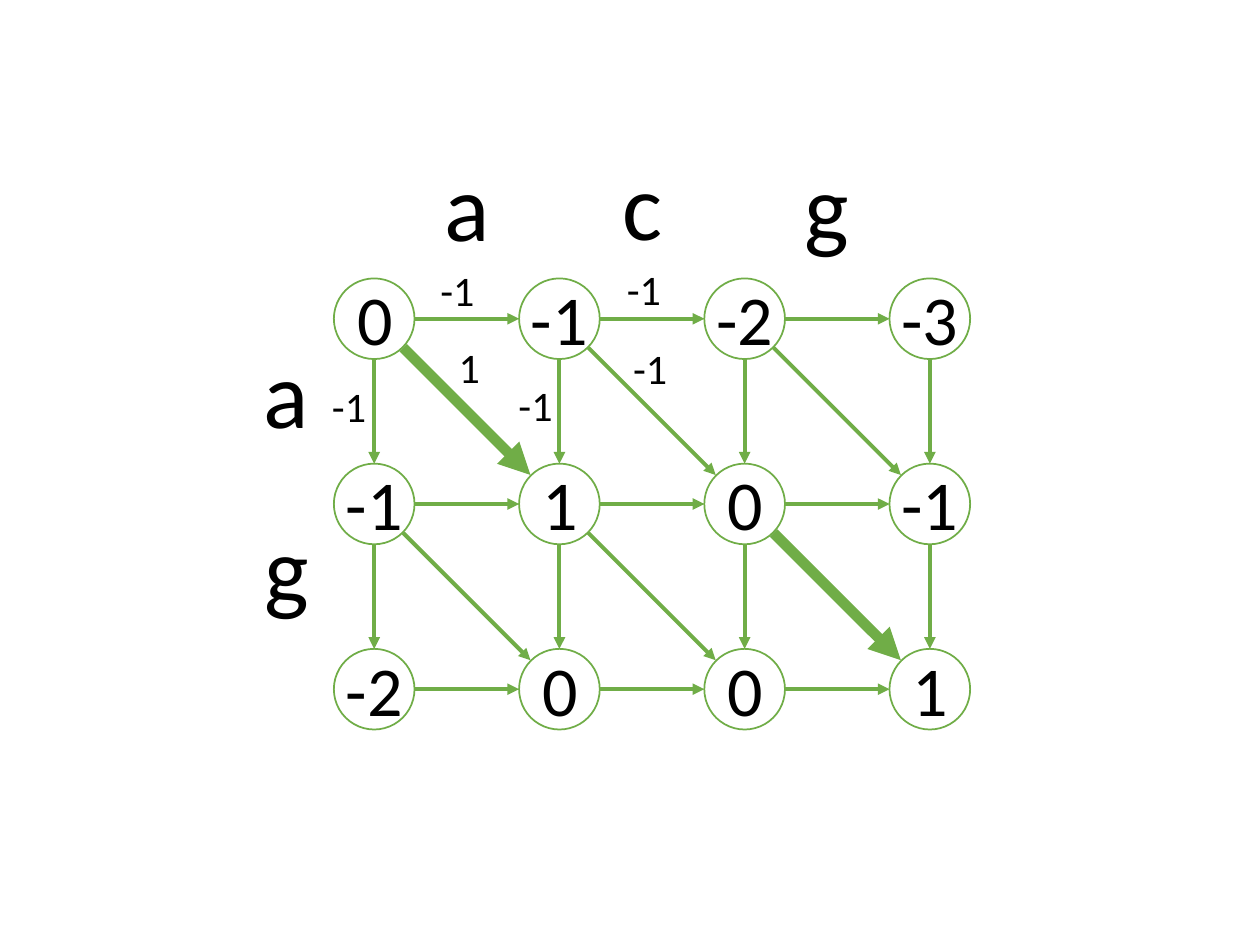
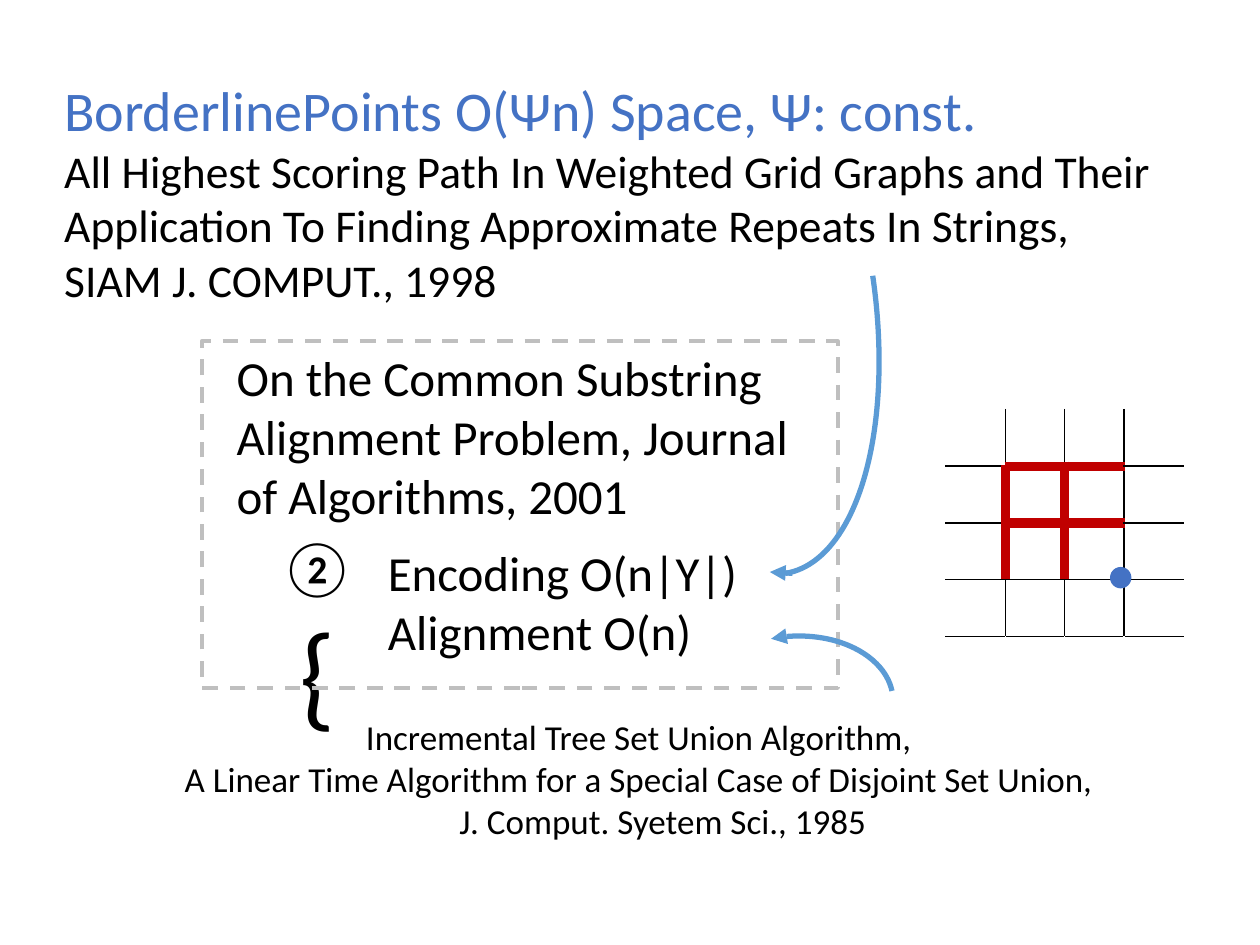
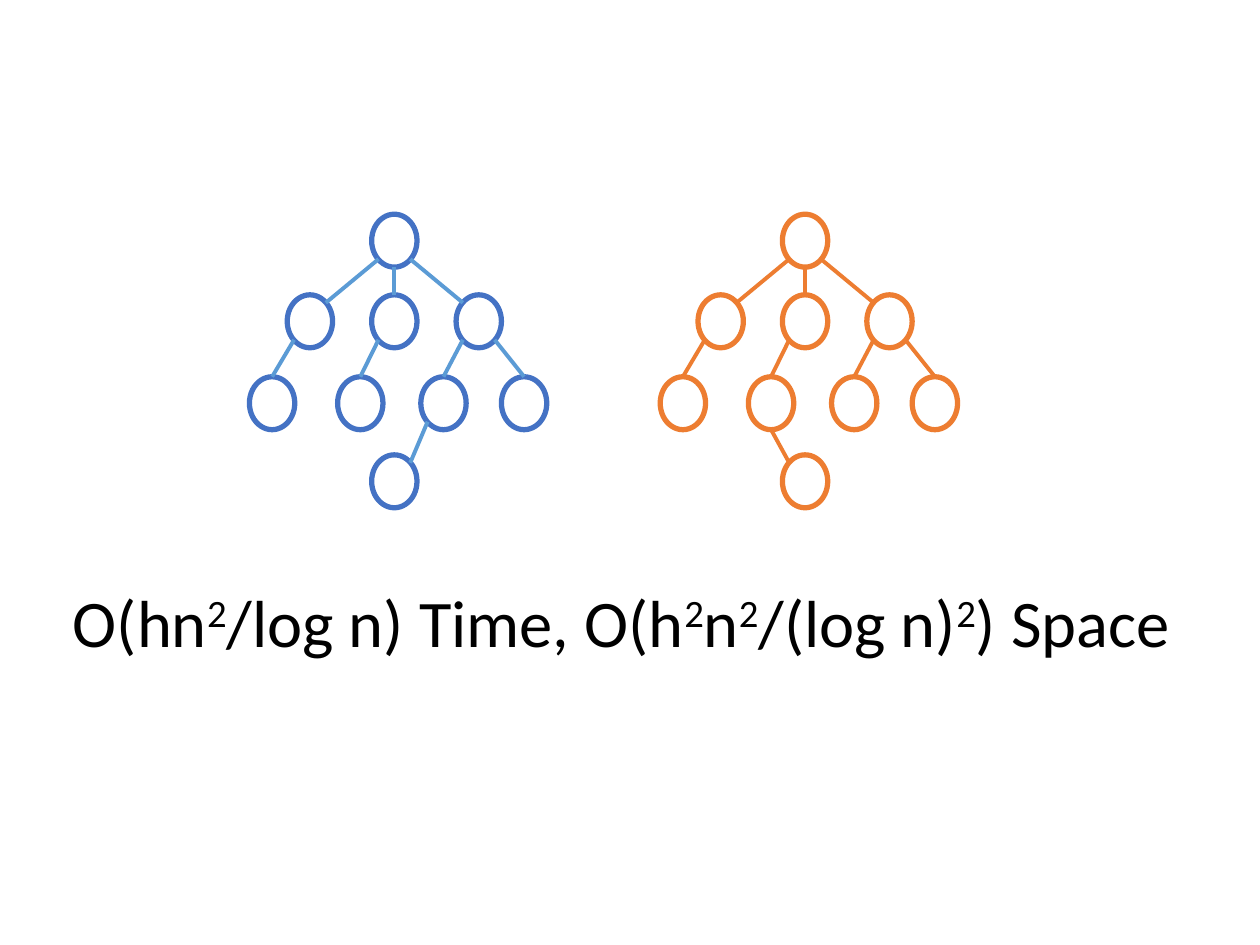
import pptx
import pptx.dml.color
import pptx.enum.dml
import pptx.enum.shapes
import pptx.enum.text
import pptx.oxml
import pptx.oxml.ns
import pptx.util

EMU_PER_PX = 9144  # 100 px to the inch
FONT = "Calibri"
BLACK, WHITE, GREY, RED = "000000", "FFFFFF", "BFBFBF", "C00000"
GREEN, BLUE, SKY, ORANGE = "70AD47", "4472C4", "5B9BD5", "ED7D31"
PLAIN_TABLE_STYLE = "{2D5ABB26-0587-4C30-8999-92F81FD0307C}"

SHAPE = pptx.enum.shapes.MSO_SHAPE
ALIGN = pptx.enum.text.PP_ALIGN
LEFT, CENTER = ALIGN.LEFT, ALIGN.CENTER


def px(*lengths):
    return [pptx.util.Emu(round(length * EMU_PER_PX)) for length in lengths]


def rgb(color):
    return pptx.dml.color.RGBColor.from_string(color)


def xml(tag, content=""):
    namespace = pptx.oxml.ns.nsdecls("a")
    return pptx.oxml.parse_xml(f"<a:{tag} {namespace}>{content}</a:{tag}>")


def write(frame, *lines, size, color=BLACK, align=LEFT, indents=None):
    """Fill a frame; a line is a string or a list of (text, format) spans."""
    frame.word_wrap = False
    frame.auto_size = pptx.enum.text.MSO_AUTO_SIZE.SHAPE_TO_FIT_TEXT
    frame.vertical_anchor = pptx.enum.text.MSO_ANCHOR.TOP
    for number, line in enumerate(lines):
        para = frame.paragraphs[0] if number == 0 else frame.add_paragraph()
        para.alignment = align
        if indents and number in indents:
            margin = px(indents[number])[0]
            para._p.get_or_add_pPr().set("marL", str(margin))
        for text, look in [(line, {})] if isinstance(line, str) else line:
            span = para.add_run()
            span.text = text
            span.font.name = FONT
            span.font.size = pptx.util.Pt(look.get("size", size))
            span.font.color.rgb = rgb(look.get("color", color))
            if look.get("superscript"):
                span._r.get_or_add_rPr().set("baseline", "30000")


class Pages:
    """Holds the deck and the slide being drawn."""

    def __init__(self):
        self.deck = pptx.Presentation()
        self.deck.slide_width, self.deck.slide_height = px(1000, 750)

    def new_page(self, titled=False):
        self.page = self.deck.slides.add_slide(self.deck.slide_layouts[5 if titled else 6])

    def title(self, left, top, width, height, *lines, **look):
        box = self.page.shapes.title
        box.left, box.top, box.width, box.height = px(left, top, width, height)
        write(box.text_frame, *lines, **look)

    def text(self, left, top, width, height, *lines, **look):
        box = self.page.shapes.add_textbox(*px(left, top, width, height))
        write(box.text_frame, *lines, **look)

    def shape(self, kind, left, top, width, height, fill=None, line=None, weight=1):
        shape = self.page.shapes.add_shape(kind, *px(left, top, width, height))
        shape.shadow.inherit = False
        if fill:
            shape.fill.solid()
            shape.fill.fore_color.rgb = rgb(fill)
        else:
            shape.fill.background()
        if line:
            shape.line.color.rgb = rgb(line)
            shape.line.width = pptx.util.Pt(weight)
        else:
            shape.line.fill.background()
        return shape

    def circle(self, left, top, width, height, **look):
        return self.shape(SHAPE.FLOWCHART_CONNECTOR, left, top, width, height, **look)

    def arc(self, left, top, width, height, rotation, flipped=False):
        arc = self.shape(SHAPE.ARC, left, top, width, height, line=SKY, weight=3)
        arc.adjustments[0], arc.adjustments[1] = 162, 213.86
        arc.rotation = rotation
        if flipped:
            arc.element.spPr.find(pptx.oxml.ns.qn("a:xfrm")).set("flipV", "1")

    def line(self, start, end, color, weight=2.25, arrow=False):
        straight = pptx.enum.shapes.MSO_CONNECTOR.STRAIGHT
        line = self.page.shapes.add_connector(straight, *px(*start, *end))
        line.line.color.rgb = rgb(color)
        line.line.width = pptx.util.Pt(weight)
        if arrow:
            tail = xml("tailEnd")
            tail.set("type", "triangle")
            line.line._get_or_add_ln().append(tail)
        line.element.spPr.append(xml("effectLst"))

    def grid(self, left, top, rows, columns, cell_width, cell_height, edge_look):
        """Draw an empty table; edge_look gives (color, weight) for each cell side."""
        frame = self.page.shapes.add_table(
            rows, columns, *px(left, top, cell_width * columns, cell_height * rows))
        table = frame.table
        table.first_row = table.horz_banding = False
        table._tbl.tblPr.find(pptx.oxml.ns.qn("a:tableStyleId")).text = PLAIN_TABLE_STYLE
        for row in range(rows):
            for column in range(columns):
                cell = table.cell(row, column)
                cell.fill.background()
                sides = {"lnL": (False, row, column), "lnR": (False, row, column + 1),
                         "lnT": (True, row, column), "lnB": (True, row + 1, column)}
                for position, (tag, edge) in enumerate(sides.items()):
                    color, weight = edge_look(*edge)
                    border = xml(tag, f'<a:solidFill><a:srgbClr val="{color}"/></a:solidFill>')
                    border.set("w", str(pptx.util.Pt(weight)))
                    cell._tc.get_or_add_tcPr().insert(position, border)


def alignment_graph(pages):
    pages.new_page()
    scores = [["0", "-1", "-2", "-3"], ["-1", "1", "0", "-1"], ["-2", "0", "0", "1"]]
    step, radius, corner = 147, 32, 23
    best_steps = {(0, 0), (1, 2)}

    def center(row, column):
        return 297 + step * column, 253 + step * row

    cells = [(row, column) for row in range(3) for column in range(4)]
    for row, column in cells:
        x, y = center(row, column)
        pages.circle(x - radius, y - radius, 2 * radius, 2 * radius, line=GREEN)
        for right, down in ((1, 0), (0, 1), (1, 1)):
            if row + down > 2 or column + right > 3:
                continue
            diagonal = right and down
            reach = corner if diagonal else radius
            end_x, end_y = center(row + down, column + right)
            pages.line((x + reach * right, y + reach * down),
                       (end_x - reach * right, end_y - reach * down), GREEN,
                       weight=6 if diagonal and (row, column) in best_steps else 2.25,
                       arrow=True)
    for row, column in cells:
        x, y = center(row, column)
        score = scores[row][column]
        width = 66 if len(score) == 2 else 49
        pages.text(x - width // 2, y - 39, width, 77, score, size=40, align=CENTER)

    for letter, left, top in (("a", 343, 112), ("c", 484, 111), ("g", 628, 112),
                              ("a", 199, 260), ("g", 200, 399)):
        pages.text(left, top, 52 if letter == "c" else 56, 101, letter, size=54, align=CENTER)
    for weight, left, top in (("-1", 253, 297), ("-1", 339, 205), ("1", 354, 266),
                              ("-1", 487, 204), ("-1", 401, 296), ("-1", 492, 267)):
        pages.text(left, top, 48 if len(weight) == 2 else 37, 50, weight, size=24, align=CENTER)


def grid_edge(horizontal, row, column):
    """Red around the scored block, black on the inner lines, white outside."""
    if row in (1, 2) and column in (1, 2):
        return RED, 6
    inner = 1 <= row <= 4 if horizontal else 1 <= column <= 3 and row < 4
    return (BLACK if inner else WHITE), 1


def related_work(pages):
    pages.new_page(titled=True)
    pages.title(41, 55, 888, 195,
                [("BorderlinePoints O(Ψn) Space, Ψ: const.", {"size": 32, "color": BLUE})],
                "All Highest Scoring Path In Weighted Grid Graphs and Their",
                "Application To Finding Approximate Repeats In Strings,",
                "SIAM J. COMPUT., 1998", size=26)
    pages.text(178, 271, 462, 151, "On the Common Substring", "Alignment Problem, Journal",
               "of Algorithms, 2001", size=28)
    pages.text(199, 412, 106, 121, [("②", {}), (" ", {"size": 36}), ("{", {"size": 66})],
               size=32, align=CENTER)
    pages.text(298, 426, 300, 104, "Encoding O(n|Y|)", "Alignment O(n)", size=28)
    pages.text(41, 563, 932, 111, "Incremental Tree Set Union Algorithm,",
               "A Linear Time Algorithm for a Special Case of Disjoint Set Union,",
               "J. Comput. Syetem Sci., 1985", size=20, align=CENTER, indents={2: 38})
    frame = pages.shape(SHAPE.RECTANGLE, 160, 271, 505, 275, line=GREY, weight=2.25)
    frame.line.dash_style = pptx.enum.dml.MSO_LINE.DASH

    pages.arc(549, 505, 160, 110, rotation=355.2)
    pages.line((624, 505), (612, 507), SKY, weight=3, arrow=True)
    pages.arc(482, 0, 211, 458, rotation=351, flipped=True)
    pages.line((629, 455), (611, 454), SKY, weight=3, arrow=True)

    pages.grid(751, 325, 5, 4, 47, 45, grid_edge)
    pages.circle(881, 450, 17, 17, fill=BLUE)


def tree(pages, left, top, node_color, edge_color, last_edge):
    width, height = 36, 42
    nodes = [(0, 0), (-67, 64), (0, 64), (67, 64), (-97, 129), (-27, 129), (39, 129),
             (103, 129), (0, 191)]
    sites = {"top": (0.5, 0), "bottom": (0.5, 1), "top left": (0.15, 0.15),
             "top right": (0.85, 0.15), "bottom left": (0.15, 0.85),
             "bottom right": (0.85, 0.85)}
    edges = [(0, "bottom", 2, "top"), (0, "bottom left", 1, "top right"),
             (0, "bottom right", 3, "top left"), (1, "bottom left", 4, "top"),
             (2, "bottom left", 5, "top"), (3, "bottom left", 6, "top"),
             (3, "bottom right", 7, "top"), last_edge]

    def point(node, site):
        x, y = nodes[node]
        across, down = sites[site]
        return left + x + width * across, top + y + height * down

    for x, y in nodes:
        pages.circle(left + x, top + y, width, height, line=node_color, weight=3)
    for parent, start, child, end in edges:
        pages.line(point(parent, start), point(child, end), edge_color)


def tree_comparison(pages):
    pages.new_page()
    square = ("2", {"superscript": True})
    pages.text(48, 456, 908, 74,
               [("O(hn", {}), square, ("/log n) Time, O(h", {}), square, ("n", {}), square,
                ("/(log n)", {}), square, (") Space", {})], size=38)
    tree(pages, 621, 170, ORANGE, ORANGE, (5, "bottom", 8, "top left"))
    tree(pages, 295, 170, BLUE, SKY, (6, "bottom left", 8, "top right"))


def main():
    pages = Pages()
    alignment_graph(pages)
    related_work(pages)
    tree_comparison(pages)
    pages.deck.save("out.pptx")


if __name__ == "__main__":
    main()
